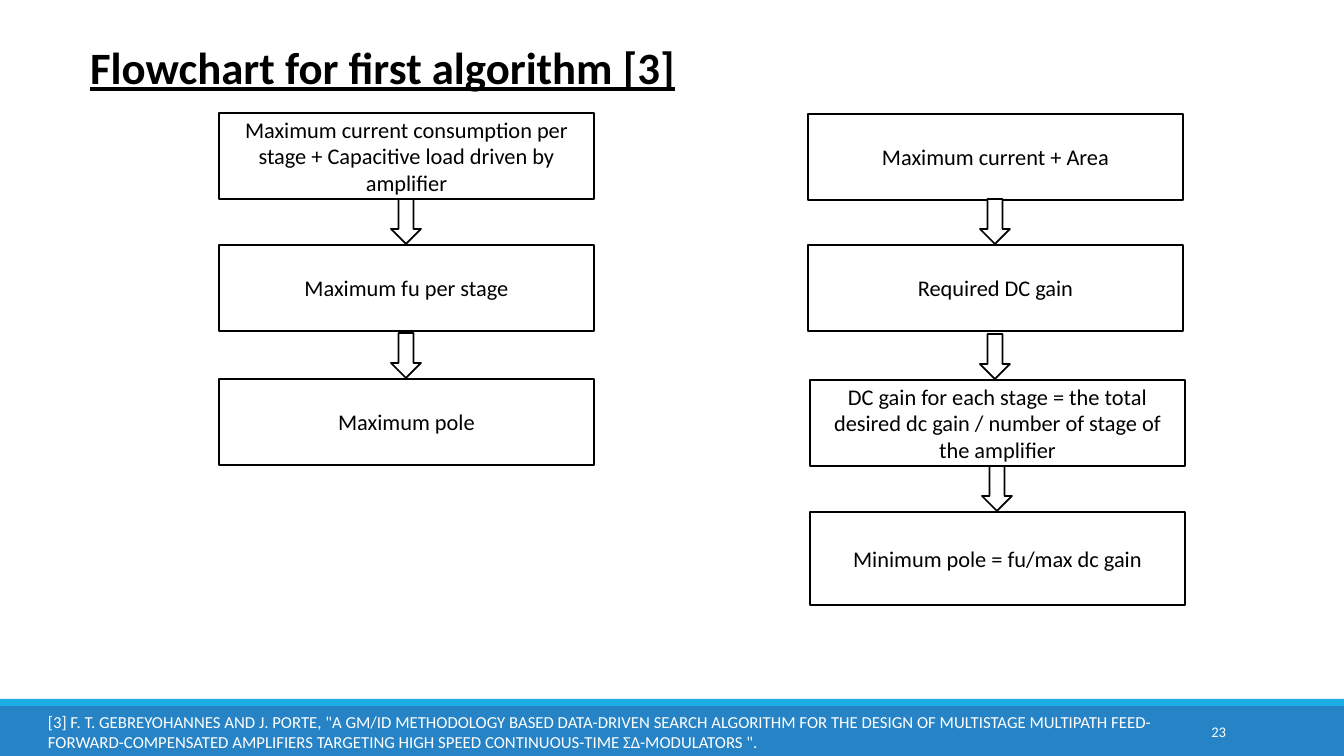
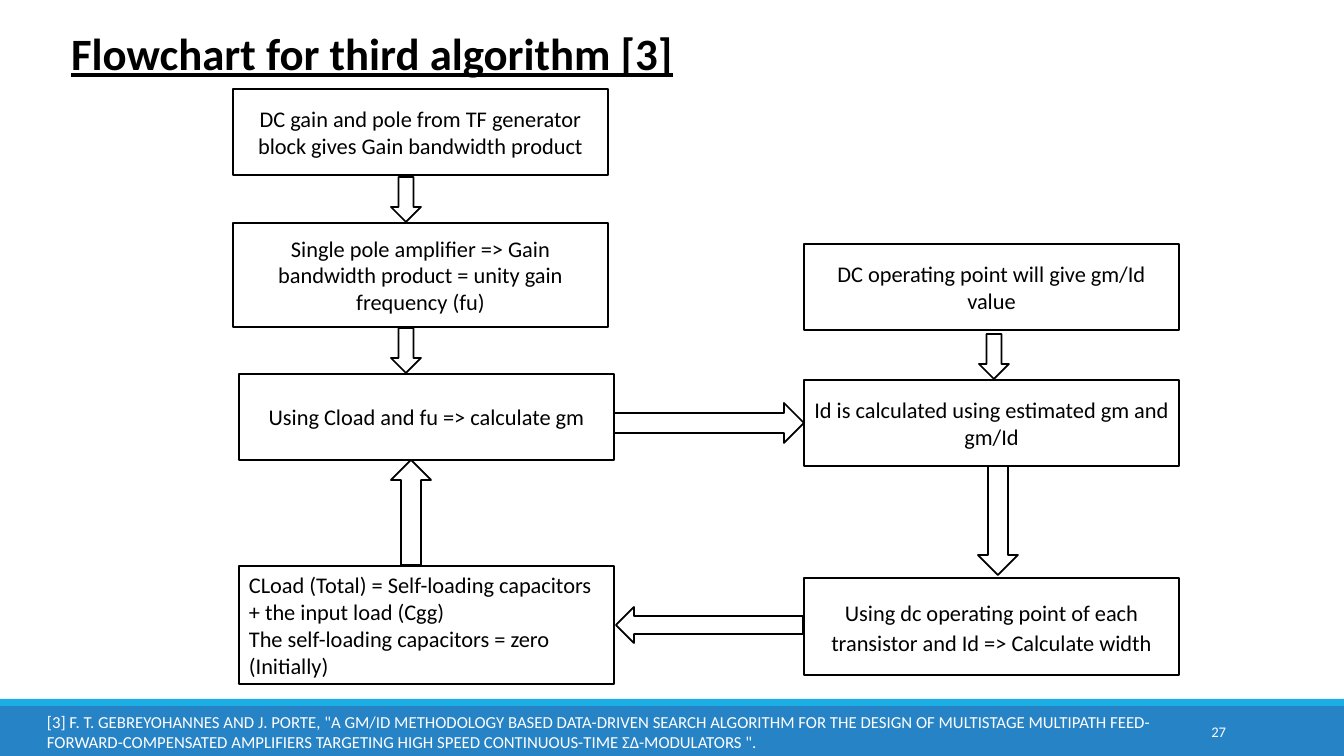
from lxml import etree
from pptx import Presentation
from pptx.dml.color import RGBColor
from pptx.enum.shapes import MSO_SHAPE
from pptx.enum.text import MSO_ANCHOR, MSO_AUTO_SIZE, PP_ALIGN
from pptx.util import Pt

SLIDE_W, SLIDE_H = 1344, 756
EMU_PER_PX = 12192000 / SLIDE_W
BLACK = RGBColor(0x00, 0x00, 0x00)
WHITE = RGBColor(0xFF, 0xFF, 0xFF)
BAND_BLUE = RGBColor(0x26, 0x83, 0xC6)
STRIPE_BLUE = RGBColor(0x1C, 0xAD, 0xE4)
FONT = "Calibri"
BOX_W, BOX_H = 375, 86
ARROW_W, ARROW_H = 30, 45
REFERENCE = (
    '[3] F. T. GEBREYOHANNES AND J. PORTE, "A GM/ID METHODOLOGY BASED '
    "DATA-DRIVEN SEARCH ALGORITHM FOR THE DESIGN OF MULTISTAGE MULTIPATH "
    "FEED-FORWARD-COMPENSATED AMPLIFIERS TARGETING HIGH SPEED "
    'CONTINUOUS-TIME ΣΔ-MODULATORS ".'
)


def px(*lengths):
    return [round(n * EMU_PER_PX) for n in lengths]


def write(shape, text, size, color, align=PP_ALIGN.LEFT, anchor=MSO_ANCHOR.MIDDLE):
    tf = shape.text_frame
    tf.word_wrap = True
    tf.vertical_anchor = anchor
    tf.text = text
    for p in tf.paragraphs:
        p.alignment = align
        p.font.name = FONT
        p.font.size = Pt(size)
        p.font.color.rgb = color
    return tf


def add_block(s, kind, x, y, w, h, fill=WHITE, line=BLACK):
    sp = s.shapes.add_shape(kind, *px(x, y, w, h))
    sp.shadow.inherit = False
    sp.fill.solid()
    sp.fill.fore_color.rgb = fill
    if line is None:
        sp.line.fill.background()
    else:
        sp.line.color.rgb = line
        sp.line.width = Pt(1.25)
    return sp


def add_step(s, x, y, h, text, align=PP_ALIGN.CENTER):
    sp = add_block(s, MSO_SHAPE.RECTANGLE, x, y, BOX_W, h)
    return write(sp, text, 16, BLACK, align)


def add_column(s, x, y, steps, arrow_dx=BOX_W // 2):
    for i, (dx, dy, h, text) in enumerate(steps):
        add_step(s, x + dx, y + dy, h, text)
        if i:
            center = x + steps[i - 1][0] + arrow_dx
            add_block(s, MSO_SHAPE.DOWN_ARROW, center - ARROW_W // 2,
                      y + dy - ARROW_H - 1, ARROW_W, ARROW_H)


def add_bands(prs, s):
    tree = prs.slide_master.shapes.element
    for i, (y, h, color) in enumerate([(706, 50, BAND_BLUE), (699, 7, STRIPE_BLUE)]):
        band = add_block(s, MSO_SHAPE.RECTANGLE, 0, y, SLIDE_W, h, color, None)
        tree.insert(2 + i, band.element)


def add_footer(s, x, w, number):
    ref = s.shapes.add_textbox(*px(x, 712, w, 40))
    write(ref, REFERENCE, 12, WHITE)
    num = s.shapes.add_textbox(*px(1092, 712, 144, 40))
    write(num, number, 10.5, WHITE, PP_ALIGN.RIGHT)


def add_slide(prs, title, title_box, footer):
    s = prs.slides.add_slide(prs.slide_layouts[5])
    sp = s.shapes.title
    sp.left, sp.top, sp.width, sp.height = px(*title_box)
    tf = write(sp, title, 32, BLACK, anchor=MSO_ANCHOR.TOP)
    tf.auto_size = MSO_AUTO_SIZE.NONE
    tf.paragraphs[0].font.bold = True
    tf.paragraphs[0].font.underline = True
    add_footer(s, *footer)
    return s


def add_first_algorithm(prs):
    s = add_slide(prs, "Flowchart for first algorithm [3]",
                  (80, 35, 1085, 65), (38, 1147, "23"))
    add_column(s, 219, 113, [
        (0, 0, BOX_H, "Maximum current consumption per stage + Capacitive load "
                      "driven by amplifier"),
        (0, 132, BOX_H, "Maximum fu per stage"),
        (0, 266, BOX_H, "Maximum pole"),
    ])
    add_column(s, 808, 114, [
        (0, 0, BOX_H, "Maximum current + Area"),
        (0, 131, BOX_H, "Required DC gain"),
        (2, 266, BOX_H, "DC gain for each stage = the total desired dc gain / "
                        "number of stage of the amplifier"),
        (2, 398, 93, "Minimum pole = fu/max dc gain"),
    ])
    return s


def add_third_algorithm(prs):
    s = add_slide(prs, "Flowchart for third algorithm [3]",
                  (61, 21, 999, 65), (37, 1184, "27"))
    add_column(s, 233, 89, [
        (0, 0, BOX_H, "DC gain and pole from TF generator block gives Gain "
                      "bandwidth product"),
        (0, 134, 104, "Single pole amplifier => Gain bandwidth product = unity "
                      "gain frequency (fu)"),
        (6, 285, BOX_H, "Using Cload and fu => calculate gm"),
    ], arrow_dx=173)
    add_column(s, 804, 244, [
        (0, 0, BOX_H, "DC operating point will give gm/Id value"),
        (0, 136, BOX_H, "Id is calculated using estimated gm and gm/Id"),
    ], arrow_dx=190)
    width_tf = add_step(s, 804, 578, 97, "Using dc operating point of each "
                        "transistor and Id => Calculate width")
    width_tf.paragraphs[0].line_spacing = 1.1
    add_step(s, 239, 566, 118,
             "CLoad (Total) = Self-loading capacitors + the input load (Cgg)\n"
             "The self-loading capacitors = zero (Initially)", PP_ALIGN.LEFT)
    for kind, *box in [
        (MSO_SHAPE.RIGHT_ARROW, 614, 403, 190, 40),
        (MSO_SHAPE.DOWN_ARROW, 978, 466, 40, 109),
        (MSO_SHAPE.LEFT_ARROW, 616, 607, 187, 36),
        (MSO_SHAPE.UP_ARROW, 391, 460, 40, 105),
    ]:
        add_block(s, kind, *box)


def main():
    prs = Presentation()
    prs.slide_width, prs.slide_height = px(SLIDE_W, SLIDE_H)
    add_bands(prs, add_first_algorithm(prs))
    add_third_algorithm(prs)
    prs.save("out.pptx")


if __name__ == "__main__":
    main()
